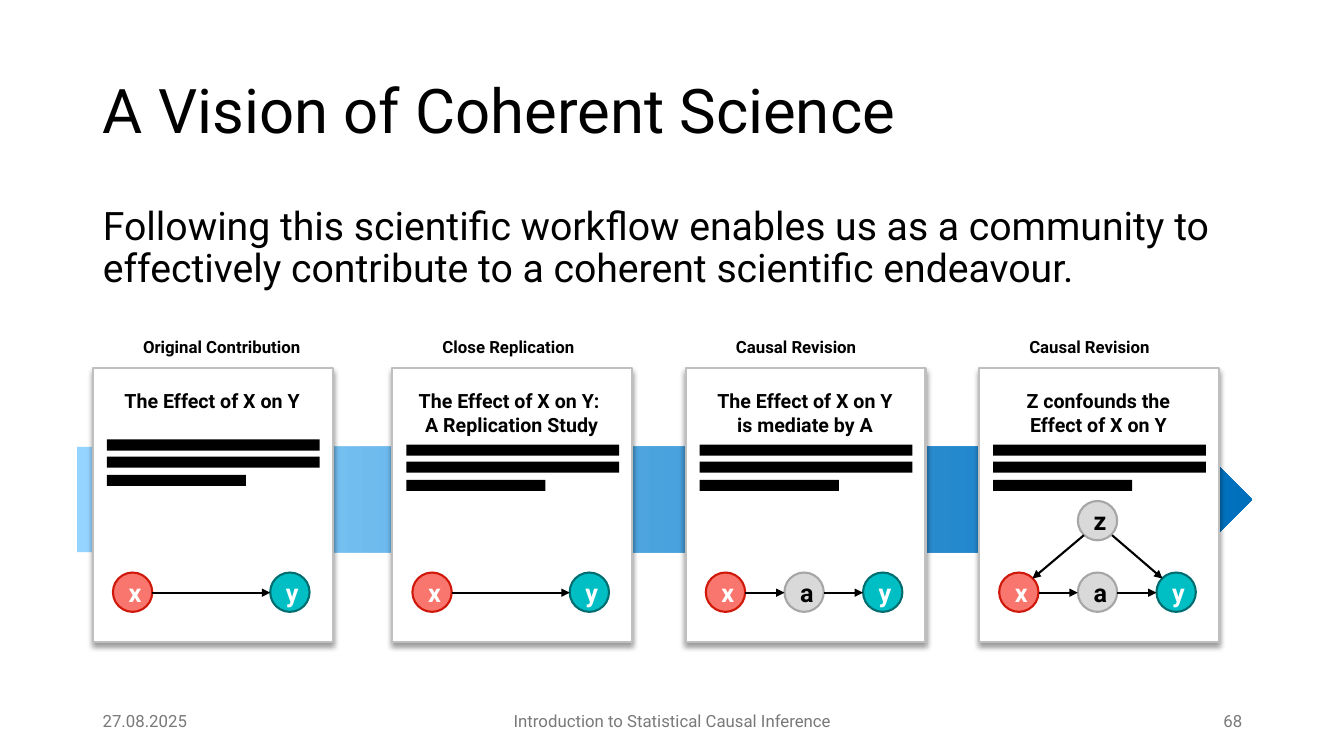
"""Build the slide 'A Vision of Coherent Science' with four linked paper cards."""
import pptx
import pptx.util
import pptx.dml.color
import pptx.enum.shapes
import pptx.enum.text
import pptx.oxml
import pptx.oxml.ns
import lxml.etree

PX = 9144
COLORS = {
    "black": "000000", "white": "FFFFFF", "footer": "797979", "card edge": "BFBFBF",
    "arrow start": "94D4FF", "arrow end": "0070BC",
    "red": "F8766D", "red edge": "D0180A", "teal": "00BFC4", "teal edge": "006D70",
    "gray": "D9D9D9", "gray edge": "A6A6A6",
}
RGB = {name: pptx.dml.color.RGBColor.from_string(code) for name, code in COLORS.items()}
SHAPE = pptx.enum.shapes.MSO_SHAPE
ALIGN = pptx.enum.text.PP_ALIGN
ANCHOR = pptx.enum.text.MSO_ANCHOR
QN = pptx.oxml.ns.qn


def add_figure(shapes, kind, bounds, fill, edge=None):
    shape = shapes.add_shape(kind, *[value * PX for value in bounds])
    shape.shadow.inherit = False
    shape.fill.solid()
    shape.fill.fore_color.rgb = RGB[fill]
    if edge:
        shape.line.color.rgb = RGB[edge]
        shape.line.width = pptx.util.Pt(1.5)
    else:
        shape.line.fill.background()
    return shape


def write(box, lines, size, color="black", bold=False, align=ALIGN.LEFT, anchor=ANCHOR.TOP):
    frame = box.text_frame
    frame.word_wrap = True
    frame.auto_size = pptx.enum.text.MSO_AUTO_SIZE.NONE
    frame.vertical_anchor = anchor
    para = frame.paragraphs[0]
    para.alignment = align
    for index, line in enumerate(lines):
        if index:
            para.add_line_break()
        span = para.add_run()
        span.text = line
        span.font.name = "Roboto"
        span.font.size = pptx.util.Pt(size)
        span.font.bold = bold
        span.font.color.rgb = RGB[color]
    return para


deck = pptx.Presentation()
deck.slide_width, deck.slide_height = 1333 * PX, 750 * PX
page = deck.slides.add_slide(deck.slide_layouts[1])

title, body = page.placeholders
title.left, title.top, title.width, title.height = 92 * PX, 40 * PX, 1040 * PX, 145 * PX
body.left, body.top, body.width, body.height = 92 * PX, 200 * PX, 1150 * PX, 109 * PX
heading = write(title, ["A Vision of Coherent Science"], 44, anchor=ANCHOR.MIDDLE)
heading.line_spacing = 0.9
message = write(body, ["Following this scientific workflow enables us as a community to "
                       "effectively contribute to a coherent scientific endeavour."], 28)
message.line_spacing = 0.9
message.space_before = pptx.util.Pt(0)
properties = message._p.get_or_add_pPr()
properties.set("marL", "0")
properties.set("indent", "0")
lxml.etree.SubElement(properties, QN("a:buNone"))

timeline = add_figure(page.shapes, SHAPE.RIGHT_ARROW, (76, 391, 1166, 209), "arrow start")
timeline.fill.gradient()
timeline.fill.gradient_angle = 0
for stop, color in zip(timeline.fill.gradient_stops, ("arrow start", "arrow end")):
    stop.color.rgb = RGB[color]

footers = [
    (92, 300, "27.08.2025", ALIGN.LEFT),
    (442, 450, "Introduction to Statistical Causal Inference", ALIGN.CENTER),
    (942, 300, "68", ALIGN.RIGHT),
]
for left, width, text, align in footers:
    box = page.shapes.add_textbox(left * PX, 695 * PX, width * PX, 40 * PX)
    write(box, [text], 12, "footer", align=align, anchor=ANCHOR.MIDDLE)

NODES = {
    "x": (20, 568, "red", "white"),
    "y": (176, 568, "teal", "white"),
    "a": (98, 568, "gray", "black"),
    "z": (98, 497, "gray", "black"),
}
DIRECT = [(59, 588, 176, 588)]
MEDIATED = [(59, 588, 98, 588), (137, 588, 176, 588)]
CONFOUNDED = MEDIATED + [(104, 531, 53, 574), (132, 531, 182, 574)]
cards = [
    (92, "Original Contribution", ["The Effect of X on Y"], 436, "xy", DIRECT),
    (389, "Close Replication", ["The Effect of X on Y: ", "A Replication Study"], 441, "xy", DIRECT),
    (680, "Causal Revision", ["The Effect of X on Y is mediate by A"], 441, "xya", MEDIATED),
    (971, "Causal Revision", ["Z confounds the Effect of X on Y"], 441, "xyza", CONFOUNDED),
]
for left, label, headline, bars_top, nodes, arrows in cards:
    shapes = page.shapes.add_group_shape().shapes
    paper = add_figure(shapes, SHAPE.RECTANGLE, (left, 365, 238, 272), "white", "card edge")
    effects = paper._element.spPr.find(QN("a:effectLst"))
    shadow = lxml.etree.SubElement(effects, QN("a:outerShdw"), blurRad="50800", dist="38100",
                                   dir="5400000", algn="t", rotWithShape="0")
    shade = lxml.etree.SubElement(shadow, QN("a:srgbClr"), val=COLORS["black"])
    lxml.etree.SubElement(shade, QN("a:alpha"), val="40000")

    box = shapes.add_textbox((left + 40) * PX, 329 * PX, 181 * PX, 30 * PX)
    write(box, [label], 12, bold=True)
    box = shapes.add_textbox((left + 12) * PX, 381 * PX, 213 * PX, 57 * PX)
    write(box, headline, 14, bold=True, align=ALIGN.CENTER)

    for drop, width in ((0, 211), (17, 211), (35, 138)):
        add_figure(shapes, SHAPE.RECTANGLE, (left + 14, bars_top + drop, width, 11), "black")

    for name in nodes:
        across, top, fill, ink = NODES[name]
        node = add_figure(shapes, SHAPE.OVAL, (left + across, top, 39, 39), fill, fill + " edge")
        write(node, [name], 18, ink, True, ALIGN.CENTER, ANCHOR.MIDDLE)

    for x1, y1, x2, y2 in arrows:
        arrow = shapes.add_connector(pptx.enum.shapes.MSO_CONNECTOR.STRAIGHT, (left + x1) * PX,
                                     y1 * PX, (left + x2) * PX, y2 * PX)
        arrow.line.color.rgb = RGB["black"]
        arrow.line.width = pptx.util.Pt(1.5)
        lxml.etree.SubElement(arrow.line._get_or_add_ln(), QN("a:tailEnd"), type="triangle")
        lxml.etree.SubElement(arrow._element.spPr, QN("a:effectLst"))

deck.save("out.pptx")
